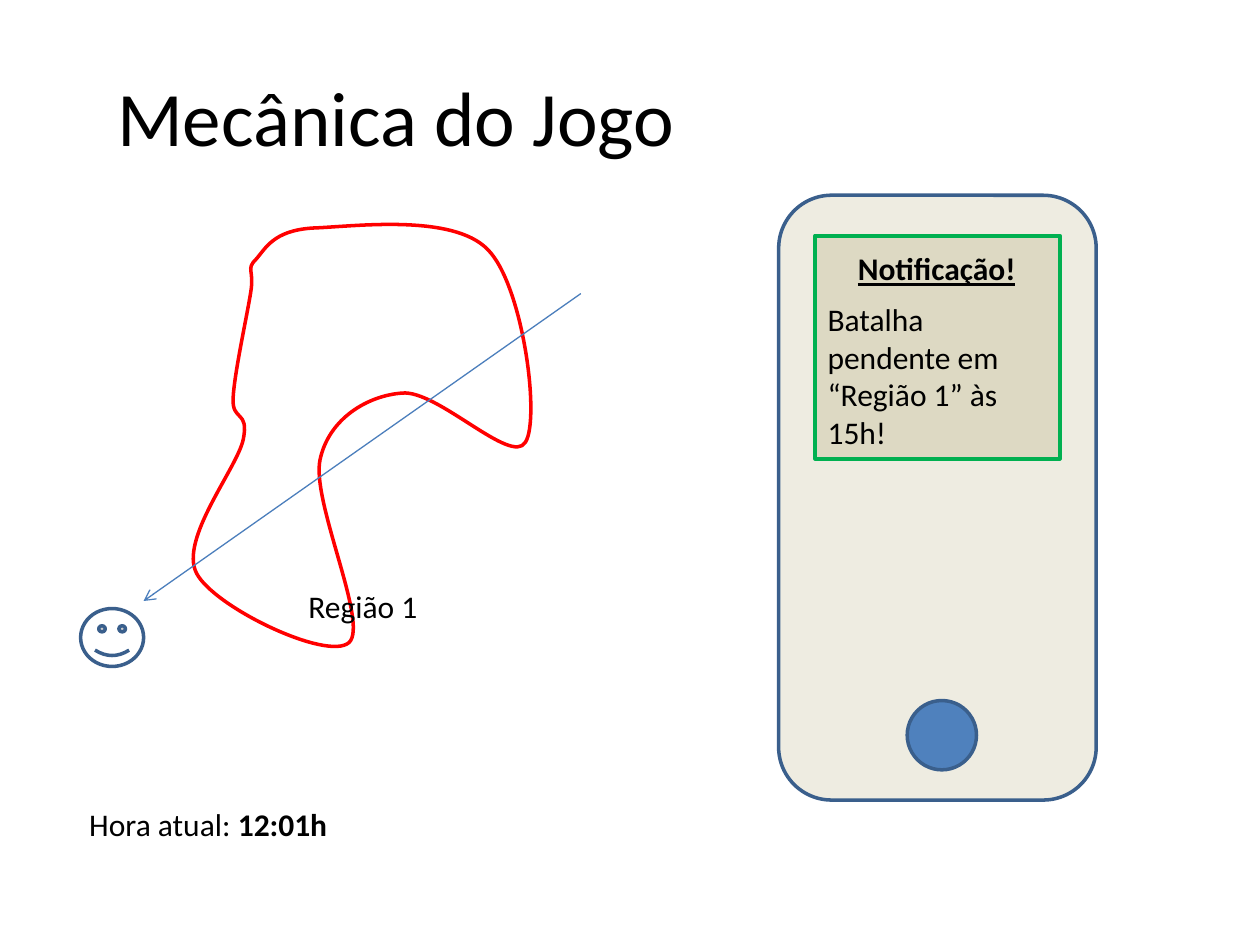
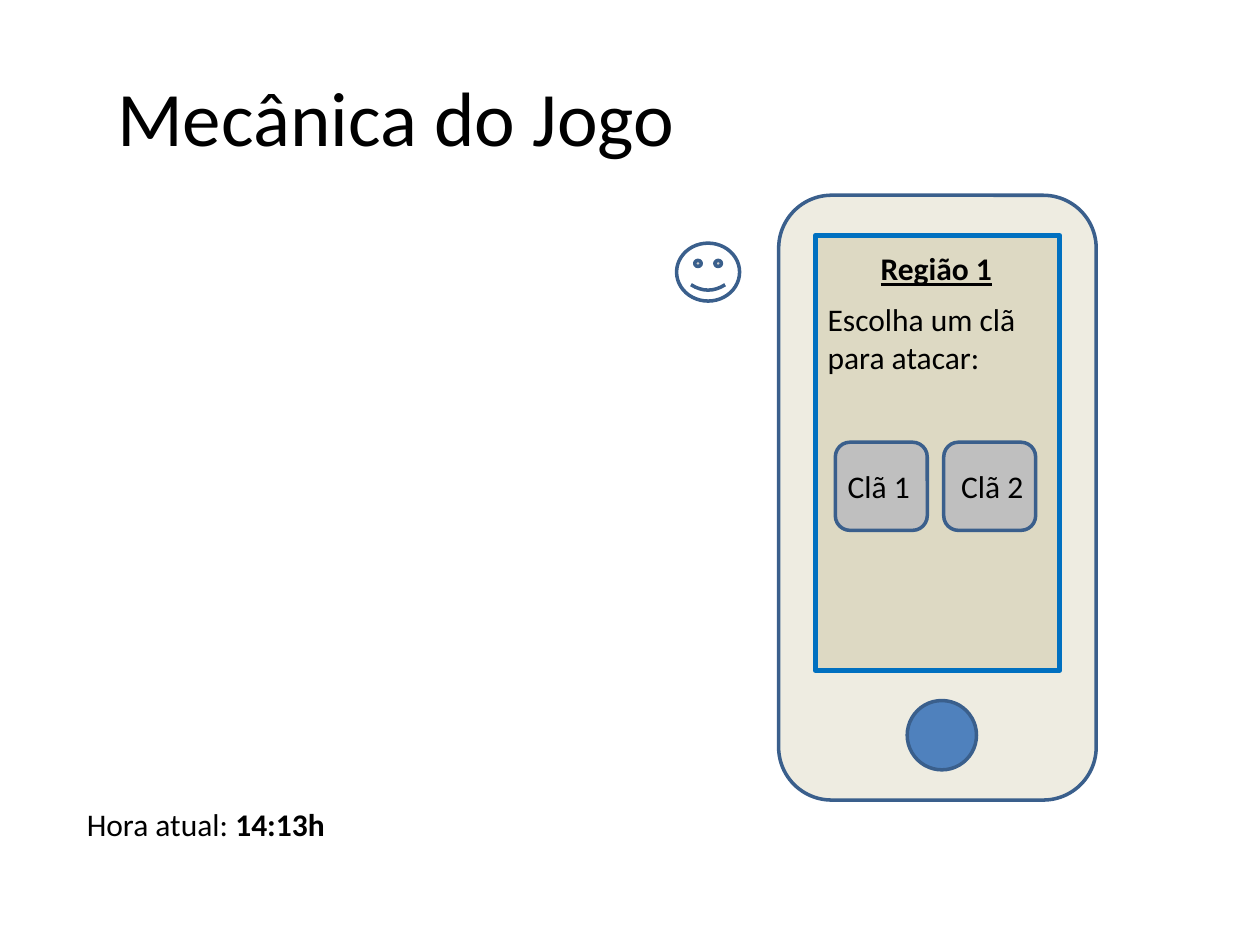
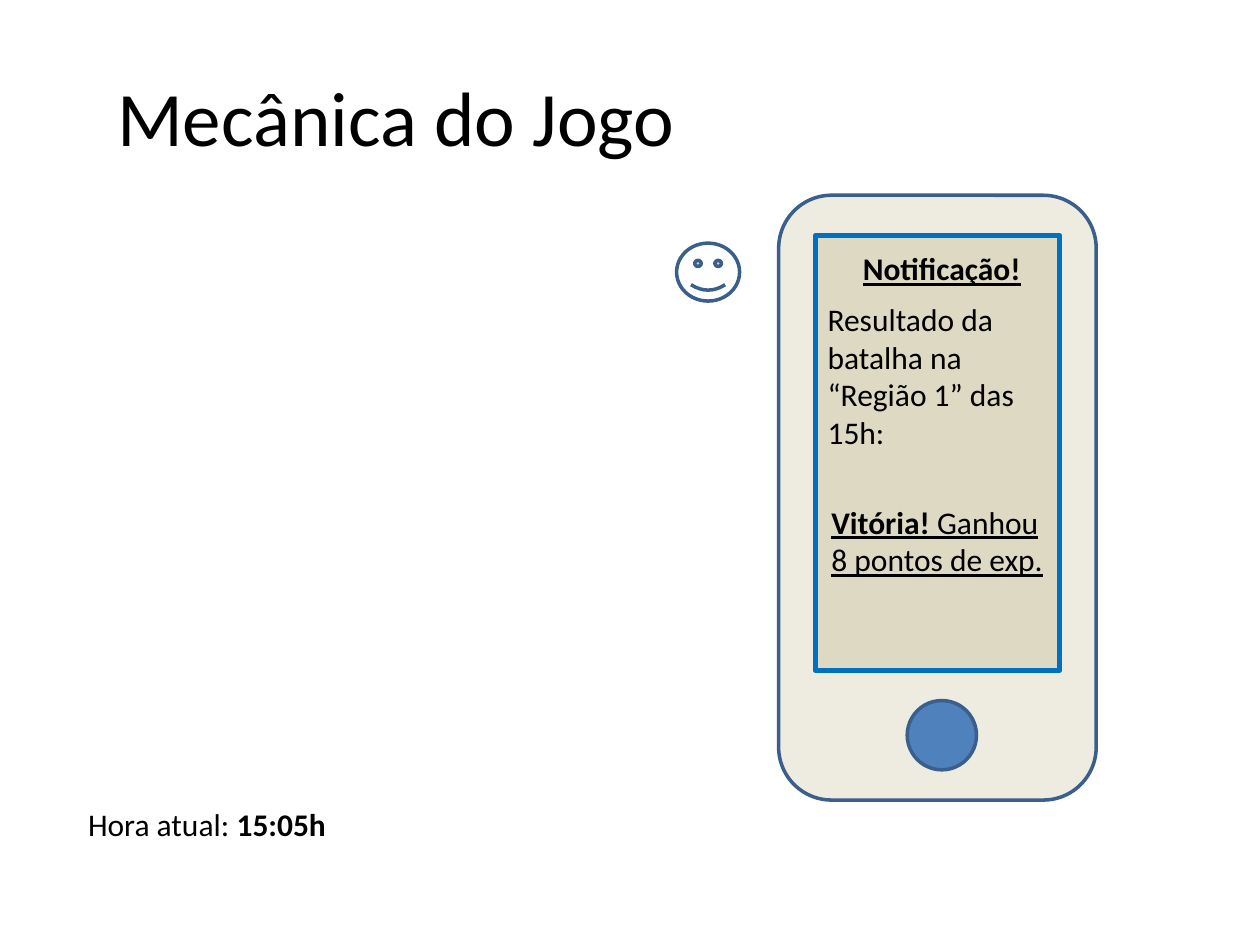
import pptx
import pptx.dml.color
import pptx.enum.shapes
import pptx.enum.text
import pptx.oxml.ns
import pptx.util
from lxml import etree

Inches = pptx.util.Inches
qn = pptx.oxml.ns.qn
SHAPE = pptx.enum.shapes.MSO_SHAPE
ALIGN = pptx.enum.text.PP_ALIGN
ANCHOR = pptx.enum.text.MSO_ANCHOR

# Shared style
FONT = "Calibri"
BLACK, WHITE = "000000", "FFFFFF"
OUTLINE, ACCENT, ARROW = "3A5F8C", "4F81BD", "4B7EBC"
PHONE, SCREEN, BUTTON = "EEECE1", "DDD9C3", "BFBFBF"
RED, GREEN, BLUE = "FF0000", "00B050", "0070C0"
TITLE = "Mecânica do Jogo"

# Phone screen, shared by all slides
SCREEN_X, SCREEN_Y, SCREEN_W = 6.47, 1.87, 1.94

# Region outline: frame, start, then cubic curves (two controls and an end point)
REGION_X, REGION_Y, REGION_W, REGION_H = 1.54, 1.78, 2.68, 3.35
REGION_START = (1.85, 3.16)
REGION_CURVES = [
    ((1.86, 2.96), (1.96, 2.51), (1.99, 2.32)),
    ((2.02, 2.14), (1.95, 2.14), (2.03, 2.06)),
    ((2.11, 1.97), (2.17, 1.83), (2.48, 1.81)),
    ((2.79, 1.8), (3.59, 1.69), (3.87, 1.98)),
    ((4.15, 2.26), (4.29, 3.32), (4.17, 3.51)),
    ((4.06, 3.7), (3.47, 3.09), (3.19, 3.12)),
    ((2.92, 3.14), (2.61, 3.32), (2.54, 3.65)),
    ((2.47, 3.98), (2.93, 4.95), (2.77, 5.1)),
    ((2.6, 5.25), (1.7, 4.82), (1.56, 4.55)),
    ((1.42, 4.28), (1.88, 3.72), (1.93, 3.49)),
    ((1.98, 3.25), (1.84, 3.35), REGION_START),
]


def rgb(value):
    return pptx.dml.color.RGBColor.from_string(value)


def write(p, text, size=18, bold=False, underline=False, color=BLACK):
    r = p.add_run()
    r.text = text
    r.font.name = FONT
    r.font.size = pptx.util.Pt(size)
    r.font.bold = bold
    r.font.underline = underline
    r.font.color.rgb = rgb(color)


def place(sp, x, y, w, h):
    sp.left, sp.top, sp.width, sp.height = map(Inches, (x, y, w, h))


def add_text(slide, x, y, w, h, *runs, wrap=False):
    """Add a text box; each run is a (text, format) pair."""
    sp = slide.shapes.add_textbox(Inches(x), Inches(y), Inches(w), Inches(h))
    tf = sp.text_frame
    tf.word_wrap = wrap
    tf.auto_size = pptx.enum.text.MSO_AUTO_SIZE.SHAPE_TO_FIT_TEXT
    for text, style in runs:
        write(tf.paragraphs[0], text, **style)


def paint(sp, fill, line=OUTLINE, width=2):
    sp.shadow.inherit = False
    sp.fill.solid()
    sp.fill.fore_color.rgb = rgb(fill)
    sp.line.color.rgb = rgb(line)
    sp.line.width = pptx.util.Pt(width)


def add_box(slide, kind, x, y, w, h, fill, **outline):
    sp = slide.shapes.add_shape(kind, Inches(x), Inches(y), Inches(w), Inches(h))
    paint(sp, fill, **outline)


def add_player(slide, x, y):
    add_box(slide, SHAPE.SMILEY_FACE, x, y, 0.5, 0.46, WHITE)


def add_time(slide, x, time):
    add_text(slide, x, 6.34, 2.11, 0.4, ("Hora atual: ", {}), (time, {"bold": True}))


def add_phone(slide, heading, heading_x, heading_w, message, message_h,
              screen_h=3.45, line=BLUE, width=3):
    add_box(slide, SHAPE.ROUNDED_RECTANGLE, 6.18, 1.55, 2.52, 4.8, PHONE)
    add_box(slide, SHAPE.RECTANGLE, SCREEN_X, SCREEN_Y, SCREEN_W, screen_h,
            SCREEN, line=line, width=width)
    add_text(slide, SCREEN_X, 2.33, SCREEN_W, message_h, (message, {}), wrap=True)
    add_text(slide, heading_x, 1.93, heading_w, 0.4,
             (heading, {"bold": True, "underline": True}))
    add_box(slide, SHAPE.OVAL, 7.2, 5.56, 0.55, 0.55, ACCENT)


def add_region(slide, label):
    builder = slide.shapes.build_freeform(
        *map(Inches, REGION_START), scale=1.0)
    builder.add_line_segments(
        [tuple(map(Inches, curve[-1])) for curve in REGION_CURVES], close=True)
    sp = builder.convert_to_shape()
    place(sp, REGION_X, REGION_Y, REGION_W, REGION_H)
    paint(sp, WHITE, line=RED)

    # Turn the straight segments into curves within the region's frame
    outline = sp._element.spPr.find(".//" + qn("a:path"))
    outline.set("w", str(Inches(REGION_W)))
    outline.set("h", str(Inches(REGION_H)))
    for child in list(outline):
        outline.remove(child)

    def add_step(tag, *points):
        step = etree.SubElement(outline, qn(tag))
        for x, y in points:
            etree.SubElement(step, qn("a:pt"), x=str(Inches(x - REGION_X)),
                             y=str(Inches(y - REGION_Y)))

    add_step("a:moveTo", REGION_START)
    for curve in REGION_CURVES:
        add_step("a:cubicBezTo", *curve)
    add_step("a:close")

    # Label near the bottom
    tf = sp.text_frame
    tf.vertical_anchor = ANCHOR.BOTTOM
    tf.margin_bottom = Inches(0.17)
    tf.paragraphs[0].alignment = ALIGN.CENTER
    write(tf.paragraphs[0], label)


def add_arrow(slide, x1, y1, x2, y2):
    sp = slide.shapes.add_connector(
        pptx.enum.shapes.MSO_CONNECTOR.STRAIGHT,
        Inches(x1), Inches(y1), Inches(x2), Inches(y2))
    sp.line.color.rgb = rgb(ARROW)
    sp.line.width = pptx.util.Pt(0.75)
    etree.SubElement(sp.line._get_or_add_ln(), qn("a:tailEnd"), type="arrow")
    etree.SubElement(sp._element.spPr, qn("a:effectLst"))


def add_slide(prs):
    slide = prs.slides.add_slide(prs.slide_layouts[5])
    sp = slide.shapes.title
    place(sp, 0.83, 0.29, 8.83, 1.25)
    tf = sp.text_frame
    tf.vertical_anchor = ANCHOR.MIDDLE
    tf.paragraphs[0].alignment = ALIGN.LEFT
    write(tf.paragraphs[0], TITLE, size=44)
    return slide


def main():
    prs = pptx.Presentation()
    prs.slide_width, prs.slide_height = Inches(10), Inches(7.5)

    # Player leaves the region and is notified
    slide = add_slide(prs)
    add_region(slide, "Região 1")
    add_arrow(slide, 4.61, 2.33, 1.14, 4.77)
    add_player(slide, 0.64, 4.83)
    add_time(slide, 0.61, "12:01h")
    add_phone(slide, "Notificação!", 6.71, 1.47,
              "Batalha pendente em “Região 1” às 15h!", 1.31,
              screen_h=1.77, line=GREEN, width=2.25)

    # Choice of the clan to attack
    slide = add_slide(prs)
    add_player(slide, 5.37, 1.93)
    add_time(slide, 0.59, "14:13h")
    add_phone(slide, "Região 1", 6.89, 1.09, "Escolha um clã para atacar:", 0.71)
    for x in (6.63, 7.49):
        add_box(slide, SHAPE.ROUNDED_RECTANGLE, x, 3.51, 0.73, 0.7, BUTTON)
    for x, clan in ((7.53, "Clã 2"), (6.63, "Clã 1")):
        add_text(slide, x, 3.66, 0.7, 0.4, (clan, {}))

    # Battle result
    slide = add_slide(prs)
    add_player(slide, 5.37, 1.93)
    add_time(slide, 0.6, "15:05h")
    add_phone(slide, "Notificação!", 6.75, 1.47,
              "Resultado da batalha na “Região 1” das 15h:", 1.31)
    add_text(slide, 6.5, 3.94, SCREEN_W, 0.71,
             ("Vitória!", {"bold": True, "underline": True}),
             (" Ganhou 8 pontos de exp.", {"underline": True}), wrap=True)

    prs.save("out.pptx")


if __name__ == "__main__":
    main()
